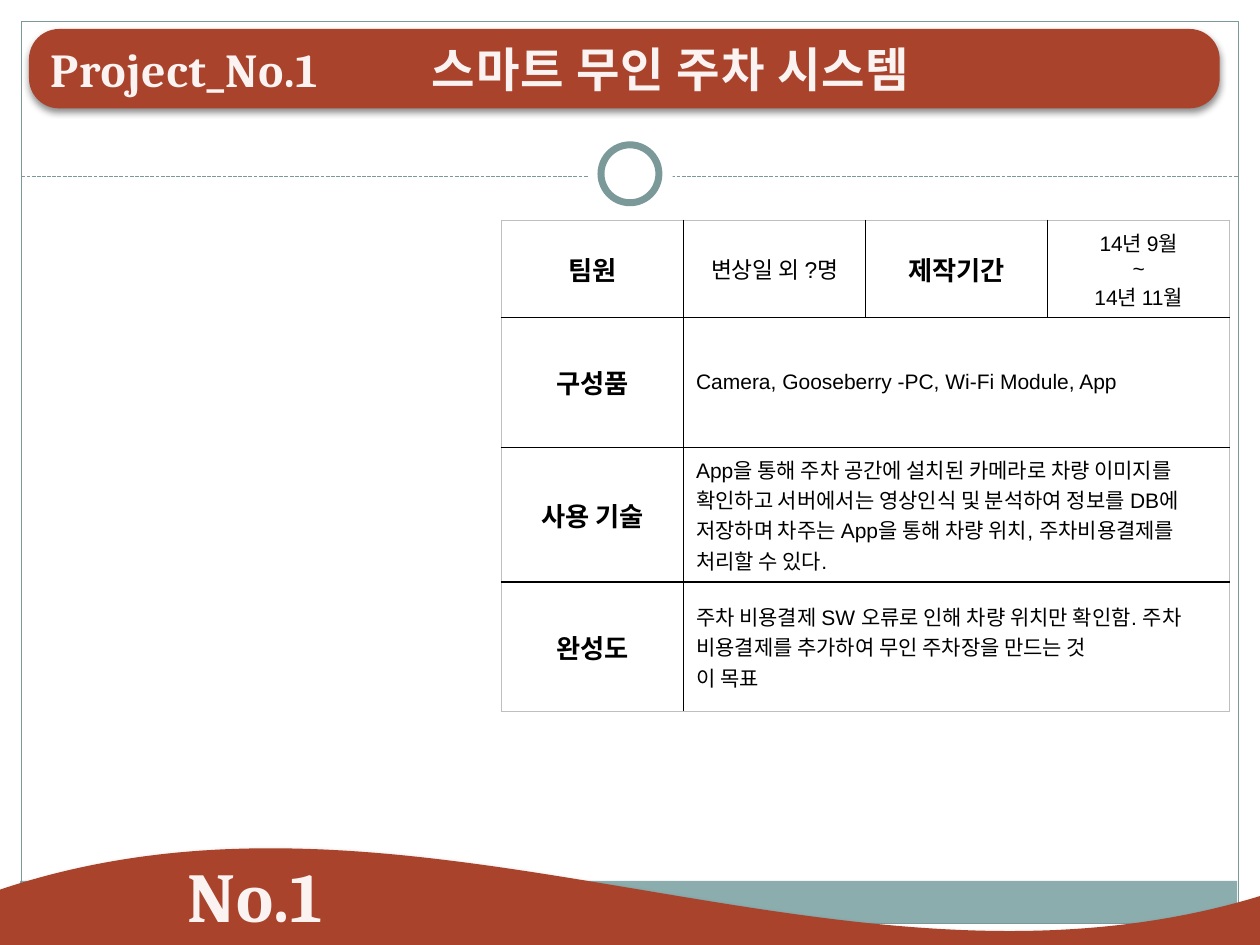
from dataclasses import dataclass
from typing import Optional

from lxml.etree import SubElement
from pptx import Presentation
from pptx.dml.color import RGBColor
from pptx.enum.dml import MSO_LINE_DASH_STYLE as Dash
from pptx.enum.shapes import MSO_CONNECTOR as Connector, MSO_SHAPE as Preset
from pptx.enum.text import MSO_ANCHOR as Anchor, PP_ALIGN as Align
from pptx.oxml.ns import qn
from pptx.util import Inches, Pt

COLORS = {
    "white": "FFFFFF", "sage": "8CADAE", "teal": "7C999A", "brick": "A9432B",
    "heading": "FAF3F2", "ink": "000000", "table_edge": "BFBFBF",
}
WIDTH, HEIGHT = Inches(10), Inches(7.5)
HEADING = {"name": "Cambria", "bold": True}
LABEL = {"name": "Arial", "size": Pt(15), "bold": True}
NAMES = {"name": "Arial", "size": Pt(13), "bold": False}
DETAIL = {"name": "Arial", "size": Pt(12), "bold": False}


@dataclass(frozen=True)
class Area:
    """Place and size in percent of the slide."""
    left: float
    top: float
    width: float
    height: float

    def emu(self) -> tuple[int, int, int, int]:
        """Give the area in slide units."""
        return (round(WIDTH * self.left / 100), round(HEIGHT * self.top / 100),
                round(WIDTH * self.width / 100), round(HEIGHT * self.height / 100))


@dataclass(frozen=True)
class Panel:
    """A preset shape of the slide's decoration."""
    preset: Preset
    area: Area
    fill: Optional[str] = None
    line: Optional[str] = None
    weight: float = 0.75
    shadow: bool = False


@dataclass(frozen=True)
class Entry:
    """The text of one table cell."""
    row: int
    column: int
    text: str
    style: dict
    align: Align = Align.CENTER
    span: int = 1


FRAME = Area(1.7, 2.27, 96.6, 95.47)
BACKDROP = [
    Panel(Preset.RECTANGLE, Area(0, 0, 100, 20.27), "white"),
    Panel(Preset.RECTANGLE, Area(0, 0, 1.7, 100), "white"),
    Panel(Preset.RECTANGLE, Area(98.3, 0, 1.7, 100), "white"),
    Panel(Preset.RECTANGLE, Area(1.6, 93.2, 96.6, 4.53), "sage"),
    Panel(Preset.RECTANGLE, FRAME, line="teal"),
]
ORNAMENTS = [
    Panel(Preset.OVAL, Area(46.7, 14, 6.7, 8.93), "white"),
    Panel(Preset.OVAL, Area(47.7, 15.33, 4.6, 6.13), "white", "teal", 4),
    Panel(Preset.WAVE, Area(0, 89.6, 101.6, 36.4), "brick", shadow=True),
]
BANNER = Panel(Preset.ROUNDED_RECTANGLE, Area(2.3, 3.07, 94.5, 8.4), "brick", shadow=True)
SUMMARY = Area(39.8, 23.33, 57.8, 50.4)
ROW_HEIGHTS = [0.69, 1.03, 1.03, 1.03]
ENTRIES = [
    Entry(0, 0, "팀원", LABEL),
    Entry(0, 1, "변상일 외 ?명", NAMES),
    Entry(0, 2, "제작기간", LABEL),
    Entry(0, 3, "14년 9월\n~\n14년 11월", DETAIL),
    Entry(1, 0, "구성품", LABEL),
    Entry(1, 1, "Camera, Gooseberry -PC, Wi-Fi Module, App", DETAIL, Align.LEFT, 3),
    Entry(2, 0, "사용 기술", LABEL),
    Entry(2, 1, "App을 통해 주차 공간에 설치된 카메라로 차량 이미지를 확인하고 서버에서는 "
                "영상인식 및 분석하여 정보를 DB에 저장하며 차주는 App을 통해 차량 위치, "
                "주차비용결제를 처리할 수 있다.", DETAIL, Align.LEFT, 3),
    Entry(3, 0, "완성도", LABEL),
    Entry(3, 1, "주차 비용결제 SW 오류로 인해 차량 위치만 확인함. 주차 비용결제를 추가하여 "
                "무인 주차장을 만드는 것\n이 목표", DETAIL, Align.LEFT, 3),
]


def rgb(color: str) -> RGBColor:
    """Look up a named colour."""
    return RGBColor.from_string(COLORS[color])


def apply_format(target, values: dict) -> None:
    """Set every format value on the target."""
    for attribute, value in values.items():
        setattr(target, attribute, value)


def draw_panel(slide, panel: Panel):
    """Draw one panel with its fill, line and shadow."""
    shape = slide.shapes.add_shape(panel.preset, *panel.area.emu())
    shape.shadow.inherit = False
    if panel.fill:
        shape.fill.solid()
        shape.fill.fore_color.rgb = rgb(panel.fill)
    else:
        shape.fill.background()
    if panel.line:
        shape.line.color.rgb = rgb(panel.line)
        shape.line.width = Pt(panel.weight)
    else:
        shape.line.fill.background()
    if panel.shadow:
        effects = shape._element.spPr.find(qn("a:effectLst"))
        cast = SubElement(effects, qn("a:outerShdw"), blurRad=str(Pt(4)), dist=str(Pt(2)),
                          dir="5400000", rotWithShape="0")
        tint = SubElement(cast, qn("a:srgbClr"), val=COLORS["ink"])
        SubElement(tint, qn("a:alpha"), val="45000")
    return shape


def draw_divider(slide) -> None:
    """Draw the dashed rule across the frame."""
    left, _, width, _ = FRAME.emu()
    level = round(HEIGHT * 18.67 / 100)
    divider = slide.shapes.add_connector(Connector.STRAIGHT, left, level, left + width, level)
    apply_format(divider.line, {"width": Pt(0.75), "dash_style": Dash.SQUARE_DOT})
    divider.line.color.rgb = rgb("teal")
    divider.line._ln.find(qn("a:prstDash")).set("val", "sysDash")
    SubElement(divider._element.spPr, qn("a:effectLst"))


def write_heading(frame, text: str, size: float) -> None:
    """Write a heading in slightly spaced letters."""
    paragraph = frame.paragraphs[0]
    paragraph.alignment = Align.LEFT
    run = paragraph.add_run()
    run.text = text
    apply_format(run.font, HEADING | {"size": Pt(size)})
    run.font.color.rgb = rgb("heading")
    run._r.get_or_add_rPr().set("spc", "50")


def draw_borders(cell, edges: dict[str, str]) -> None:
    """Give each side of a cell a line of its colour."""
    for side, color in edges.items():
        line = SubElement(cell._tc.get_or_add_tcPr(), qn(f"a:{side}"), w=str(Pt(1)))
        SubElement(SubElement(line, qn("a:solidFill")), qn("a:srgbClr"), val=COLORS[color])


def draw_summary(slide) -> None:
    """Draw the project table."""
    rows, columns = len(ROW_HEIGHTS), 4
    table = slide.shapes.add_table(rows, columns, *SUMMARY.emu()).table
    apply_format(table, {"first_row": False, "horz_banding": False})
    for row, height in zip(table.rows, ROW_HEIGHTS):
        row.height = Inches(height)
    for entry in ENTRIES:
        cell = table.cell(entry.row, entry.column)
        if entry.span > 1:
            cell.merge(table.cell(entry.row, entry.column + entry.span - 1))
        cell.text = entry.text
        cell.vertical_anchor = Anchor.MIDDLE
        for paragraph in cell.text_frame.paragraphs:
            paragraph.alignment = entry.align
            for run in paragraph.runs:
                apply_format(run.font, entry.style)
                run.font.color.rgb = rgb("ink")
    for row in range(rows):
        for column in range(columns):
            cell = table.cell(row, column)
            outer = {"lnL": column == 0, "lnR": column + cell.span_width == columns,
                     "lnT": row == 0, "lnB": row == rows - 1}
            draw_borders(cell, {side: "table_edge" if edge else "ink"
                                for side, edge in outer.items()})
            cell.fill.background()


def main() -> None:
    """Build the project slide and save it."""
    deck = Presentation()
    apply_format(deck, {"slide_width": WIDTH, "slide_height": HEIGHT})
    slide = deck.slides.add_slide(deck.slide_layouts[6])
    for panel in BACKDROP:
        draw_panel(slide, panel)
    draw_divider(slide)
    for panel in ORNAMENTS:
        draw_panel(slide, panel)
    draw_summary(slide)
    number = slide.shapes.add_textbox(*Area(13.9, 89.6, 15, 10.27).emu()).text_frame
    number.word_wrap = False
    write_heading(number, "No.1", 40)
    banner = draw_panel(slide, BANNER)
    banner.adjustments[0] = 0.38
    banner.text_frame.vertical_anchor = Anchor.MIDDLE
    write_heading(banner.text_frame, "Project_No.1\t스마트 무인 주차 시스템", 27)
    tabs = SubElement(banner.text_frame.paragraphs[0]._p.get_or_add_pPr(), qn("a:tabLst"))
    SubElement(tabs, qn("a:tab"), pos=str(Inches(3.03)), algn="l")
    deck.save("out.pptx")


if __name__ == "__main__":
    main()
